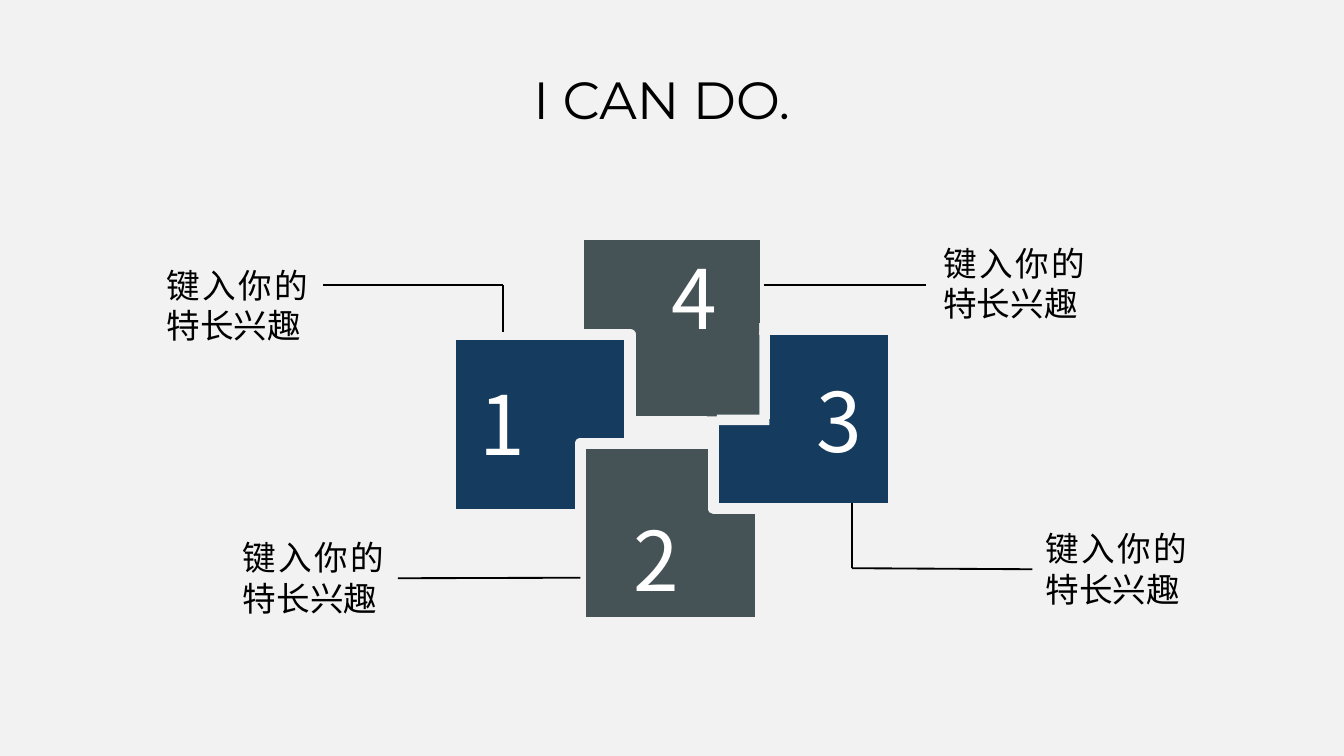
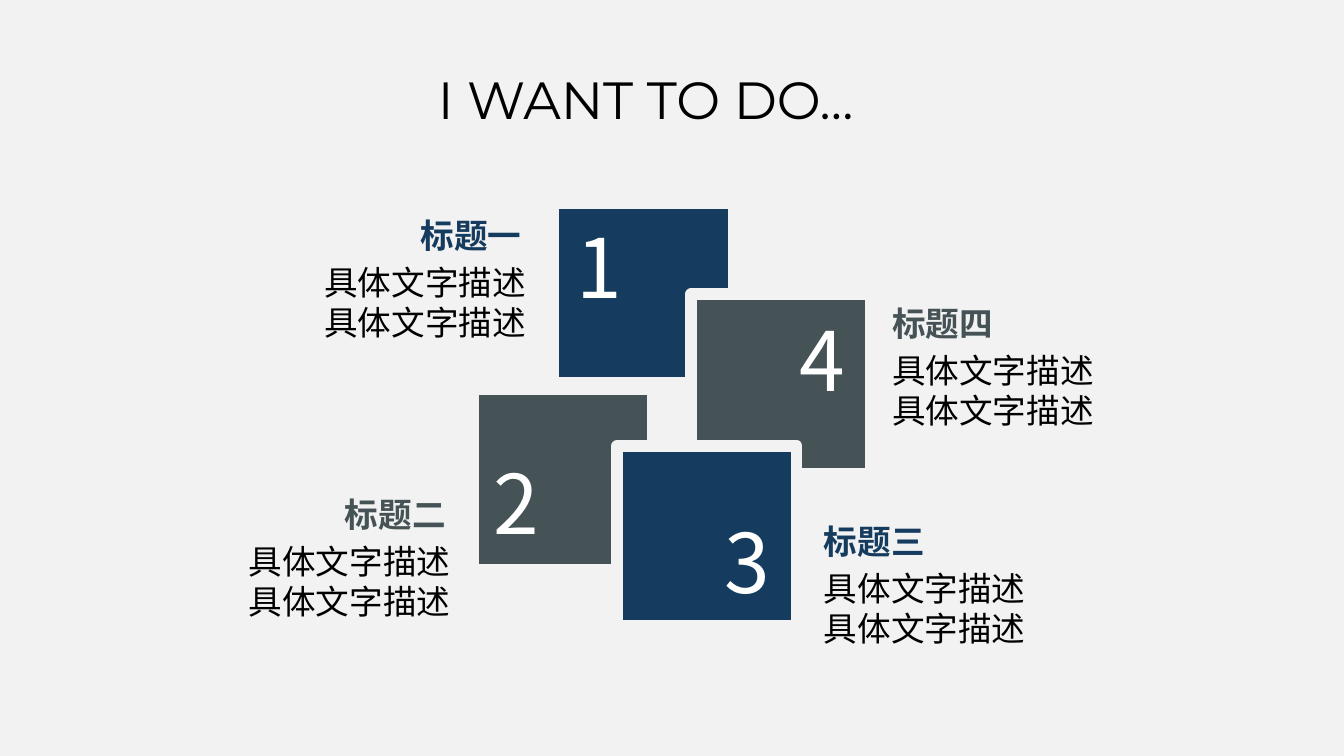
from lxml import etree
from pptx import Presentation
from pptx import util as u
from pptx.dml.color import RGBColor
from pptx.enum import shapes, text
from pptx.oxml import ns

PALE = RGBColor(0xF2, 0xF2, 0xF2)
NAVY = RGBColor(0x15, 0x3C, 0x5F)
SLATE = RGBColor(0x46, 0x53, 0x56)
BLACK = RGBColor(0, 0, 0)
WHITE = RGBColor(0xFF, 0xFF, 0xFF)
LATIN, HAN, BODY = "Montserrat", "Noto Sans CJK SC", "Noto Sans CJK JP"
LEFT, RIGHT, JUST = (text.PP_ALIGN.LEFT, text.PP_ALIGN.RIGHT,
                     text.PP_ALIGN.JUSTIFY)
WIDE, HIGH = 25.4, 14.29
TILE = 3.4


def write(page, words, x, y, w, h, size, font, color, align=LEFT, bold=False):
    box = page.shapes.add_textbox(u.Cm(x), u.Cm(y), u.Cm(w), u.Cm(h))
    frame = box.text_frame
    frame.word_wrap = True
    frame.auto_size = text.MSO_AUTO_SIZE.SHAPE_TO_FIT_TEXT
    para = frame.paragraphs[0]
    para.alignment = align
    run = para.add_run()
    run.text = words
    run.font.size = u.Pt(size)
    run.font.bold = bold
    run.font.color.rgb = color
    run.font.name = font
    # East Asian letters need their own font entry
    latin = run.font._element.find(ns.qn("a:latin"))
    latin.addnext(etree.Element(ns.qn("a:ea"), typeface=font))
    return box


def block(page, x, y, w, h, color, edge=0):
    rect = page.shapes.add_shape(shapes.MSO_SHAPE.RECTANGLE,
                                 u.Cm(x), u.Cm(y), u.Cm(w), u.Cm(h))
    rect.shadow.inherit = False
    rect.fill.solid()
    rect.fill.fore_color.rgb = color
    if edge:
        rect.line.color.rgb = PALE
        rect.line.width = u.Pt(edge)
    else:
        rect.line.fill.background()


deck = Presentation()
deck.slide_width, deck.slide_height = u.Cm(WIDE), u.Cm(HIGH)

# Shared parts: title and its width, tiles (x, y, color, edge),
# patches (x, y, w, h, color), digits (x, y)
plan = [
    ("I CAN DO.", 5.74,
     [(11, 4.5, SLATE, 2), (8.51, 6.32, NAVY, 6),
      (10.97, 8.38, SLATE, 6), (13.49, 6.22, NAVY, 6)],
     [(13.36, 6.07, 0.99, 1.8, SLATE), (14.35, 6.27, 0.2, 1.65, PALE),
      (13.55, 7.84, 0.99, 0.2, PALE)],
     [(8.81, 6.93), (11.73, 9.5), (15.19, 6.88), (12.45, 4.55)]),
    ("I WANT TO DO…", 9.35,
     [(8.94, 7.37, SLATE, 6), (10.46, 3.84, NAVY, 6),
      (13.06, 5.56, SLATE, 6), (11.66, 8.43, NAVY, 6)],
     [],
     [(10.64, 3.96), (9.07, 8.43), (13.44, 9.55), (14.86, 5.72)]),
]
pages = []
for title, span, tiles, patches, digits in plan:
    page = deck.slides.add_slide(deck.slide_layouts[6])
    page.background.fill.solid()
    page.background.fill.fore_color.rgb = PALE
    write(page, title, (WIDE - span) / 2, 1.14, span, 1.45, 28, LATIN, BLACK)
    for x, y, color, edge in tiles:
        block(page, x, y, TILE, TILE, color, edge)
    for patch in patches:
        block(page, *patch)
    for num, (x, y) in enumerate(digits, 1):
        write(page, str(num), x, y, 1.4, 2.13, 44, HAN, WHITE)
    pages.append(page)
can, want = pages

# Skills: label place, bends of its line, side of the label it joins
skills = [
    (2.9, 4.88, [(9.5, 6.27), (9.5, 5.38), (6.1, 5.38)], None),
    (19.51, 9.86, [(16.1, 9.5), (16.1, 10.74), (19.51, 10.74)], 1),
    (17.58, 4.47, [(14.43, 5.38), (17.5, 5.38)], None),
    (4.34, 10.03, [(10.97, 10.92), (7.49, 10.92)], 3),
]
for x, y, bends, side in skills:
    label = write(can, "键入你的特长兴趣", x, y, 3.18, 1.8,
                  18, BODY, BLACK, JUST)
    for start, end in zip(bends, bends[1:]):
        line = can.shapes.add_connector(shapes.MSO_CONNECTOR.STRAIGHT,
                                        *map(u.Cm, start + end))
        line.line.color.rgb = BLACK
        line.line.width = u.Pt(1)
        etree.SubElement(line._element.spPr, ns.qn("a:effectLst"))
    if side is not None:
        line.end_connect(label, side)

# Goals: heading with its description below
HEAD, DESC = 2.49, 4.52
goals = [
    ("标题一", 7.7, 3.94, NAVY, RIGHT),
    ("标题二", 6.27, 9.22, SLATE, RIGHT),
    ("标题四", 16.61, 5.61, SLATE, LEFT),
    ("标题三", 15.32, 9.73, NAVY, LEFT),
]
for head, x, y, color, align in goals:
    write(want, head, x, y, HEAD, 1.02, 18, HAN, color, bold=True)
    left = x + HEAD - DESC if align == RIGHT else x
    write(want, "具体文字描述具体文字描述", left, y + 0.88, DESC, 1.8,
          18, BODY, BLACK, align)

deck.save("out.pptx")
